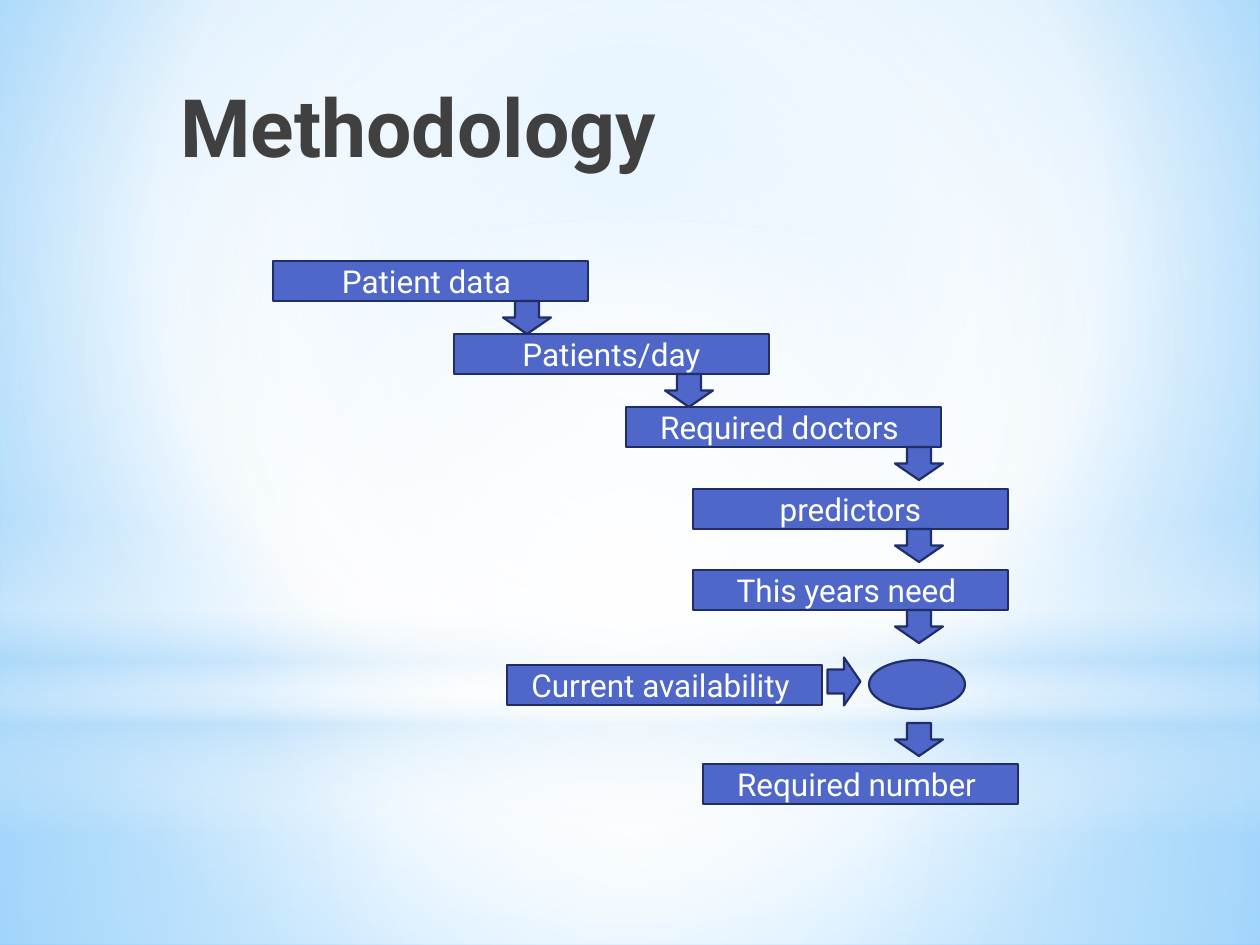
import dataclasses

import lxml.etree
import pptx
import pptx.dml.color
import pptx.enum.shapes
import pptx.enum.text
import pptx.oxml.ns
import pptx.util

SCALE = 914400 / 126
SHAPE = pptx.enum.shapes.MSO_SHAPE
ALIGN = pptx.enum.text.PP_ALIGN
ANCHOR = pptx.enum.text.MSO_ANCHOR


@dataclasses.dataclass(frozen=True)
class Theme:
    font: str = "Roboto"
    title_size: int = 46
    label_size: int = 18
    line_width: float = 1.25
    title: str = "404040"
    label: str = "FFFFFF"
    fill: str = "4E67C8"
    line: str = "1F2E69"
    white: str = "FFFFFF"
    haze: str = "B4DCFA"
    sky: str = "9ED5FF"
    deep_sky: str = "5BB9FF"


THEME = Theme()


def emu(pixels):
    return pptx.util.Emu(round(pixels * SCALE))


def color(value):
    return pptx.dml.color.RGBColor.from_string(value)


def apply_format(target, values):
    for name, value in values.items():
        setattr(target, name, value)


def set_gradient(fill, properties, stops, center=None):
    fill.gradient()
    gradient = properties.find(pptx.oxml.ns.qn("a:gradFill"))
    for child in list(gradient):
        gradient.remove(child)

    def add(parent, tag, **attributes):
        return lxml.etree.SubElement(parent, pptx.oxml.ns.qn(tag), **attributes)

    stop_list = add(gradient, "a:gsLst")
    for position, value, opacity in stops:
        stop = add(stop_list, "a:gs", pos=str(position * 1000))
        stop_color = add(stop, "a:srgbClr", val=value)
        if opacity < 100:
            add(stop_color, "a:alpha", val=str(opacity * 1000))
    if center is None:
        add(gradient, "a:lin", ang="5400000", scaled="0")
    else:
        circle = add(gradient, "a:path", path="circle")
        sides = {side: str(part * 1000) for side, part in zip("ltrb", center)}
        add(circle, "a:fillToRect", **sides)


def add_preset(slide, preset, left, top, width, height):
    shape = slide.shapes.add_shape(preset, emu(left), emu(top), emu(width), emu(height))
    shape.shadow.inherit = False
    return shape


def write_text(shape, text, size, value, bold, alignment, frame_format):
    frame = shape.text_frame
    apply_format(frame, {"word_wrap": True, **frame_format})
    paragraph = frame.paragraphs[0]
    paragraph.alignment = alignment
    run = paragraph.add_run()
    run.text = text
    apply_format(run.font, {"name": THEME.font, "size": pptx.util.Pt(size), "bold": bold})
    run.font.color.rgb = color(value)


def draw_backdrop(slide, box):
    left, top, width, height = box
    background = slide.background.fill
    background.gradient()
    properties = slide.element.find(".//" + pptx.oxml.ns.qn("p:bgPr"))
    set_gradient(background, properties,
                 [(0, THEME.sky, 100), (60, THEME.white, 100), (100, THEME.deep_sky, 100)],
                 (20, 10, 20, 60))
    middle = (50, 50, 50, 50)
    horizon = 703
    layers = [
        (SHAPE.RECTANGLE, horizon, height - horizon, middle,
         [(0, THEME.white, 91), (37, THEME.white, 76), (100, THEME.haze, 79)]),
        (SHAPE.RECTANGLE, 0, horizon, middle,
         [(0, THEME.white, 89), (48, THEME.white, 62), (100, THEME.haze, 79)]),
        (SHAPE.RECTANGLE, 519, 315, None,
         [(0, THEME.white, 0), (29, THEME.white, 30), (45, THEME.haze, 40),
          (55, THEME.white, 26), (65, THEME.haze, 60), (100, THEME.white, 0)]),
        (SHAPE.OVAL, 221, horizon, middle, [(0, THEME.white, 100), (56, THEME.white, 0)]),
    ]
    for preset, offset, layer_height, center, stops in layers:
        shape = add_preset(slide, preset, left, top + offset, width, layer_height)
        shape.line.fill.background()
        set_gradient(shape.fill, shape.element.spPr, stops, center)


def draw_title(slide, box, text):
    shape = slide.shapes.add_textbox(*map(emu, box))
    write_text(shape, text, THEME.title_size, THEME.title, True, ALIGN.LEFT,
               {"vertical_anchor": ANCHOR.TOP, "margin_top": emu(4)})


def draw_flow(slide, box):
    left, top, width, height = box
    step_width, step_height = 315, 40
    arrow_width, arrow_height = 48, 33

    def add_part(preset, x, y, part_width, part_height):
        shape = add_preset(slide, preset, left + x, top + y, part_width, part_height)
        shape.fill.solid()
        shape.fill.fore_color.rgb = color(THEME.fill)
        shape.line.color.rgb = color(THEME.line)
        shape.line.width = pptx.util.Pt(THEME.line_width)
        return shape

    def add_arrow(x, y, rotation=0):
        arrow = add_part(SHAPE.DOWN_ARROW, x, y, arrow_width, arrow_height)
        arrow.rotation = rotation

    trunk = 622
    steps = [
        ("Patient data ", 0, 0, 230),
        ("Patients/day", 181, 73, 392),
        ("Required doctors ", 353, 146, trunk),
        ("predictors", 420, 228, trunk),
        ("This years need ", 420, 309, trunk),
        ("Current availability ", 234, 404, None),
        ("Required number ", width - step_width, height - step_height, None),
    ]
    for text, x, y, arrow_x in steps:
        step = add_part(SHAPE.RECTANGLE, x, y, step_width, step_height)
        write_text(step, text, THEME.label_size, THEME.label, False, ALIGN.CENTER,
                   {"vertical_anchor": ANCHOR.MIDDLE})
        if arrow_x is not None:
            add_arrow(arrow_x, y + step_height)
    add_arrow(547, 404, 270)
    add_arrow(trunk, 462)
    add_part(SHAPE.FLOWCHART_CONNECTOR, 596, 399, 96, 49)


presentation = pptx.Presentation()
apply_format(presentation, {"slide_width": emu(1260), "slide_height": emu(945)})
slide = presentation.slides.add_slide(presentation.slide_layouts[6])
draw_backdrop(slide, (0, 0, 1260, 945))
draw_title(slide, (168, 73, 897, 157), "Methodology")
draw_flow(slide, (273, 261, 745, 543))
presentation.save("out.pptx")
